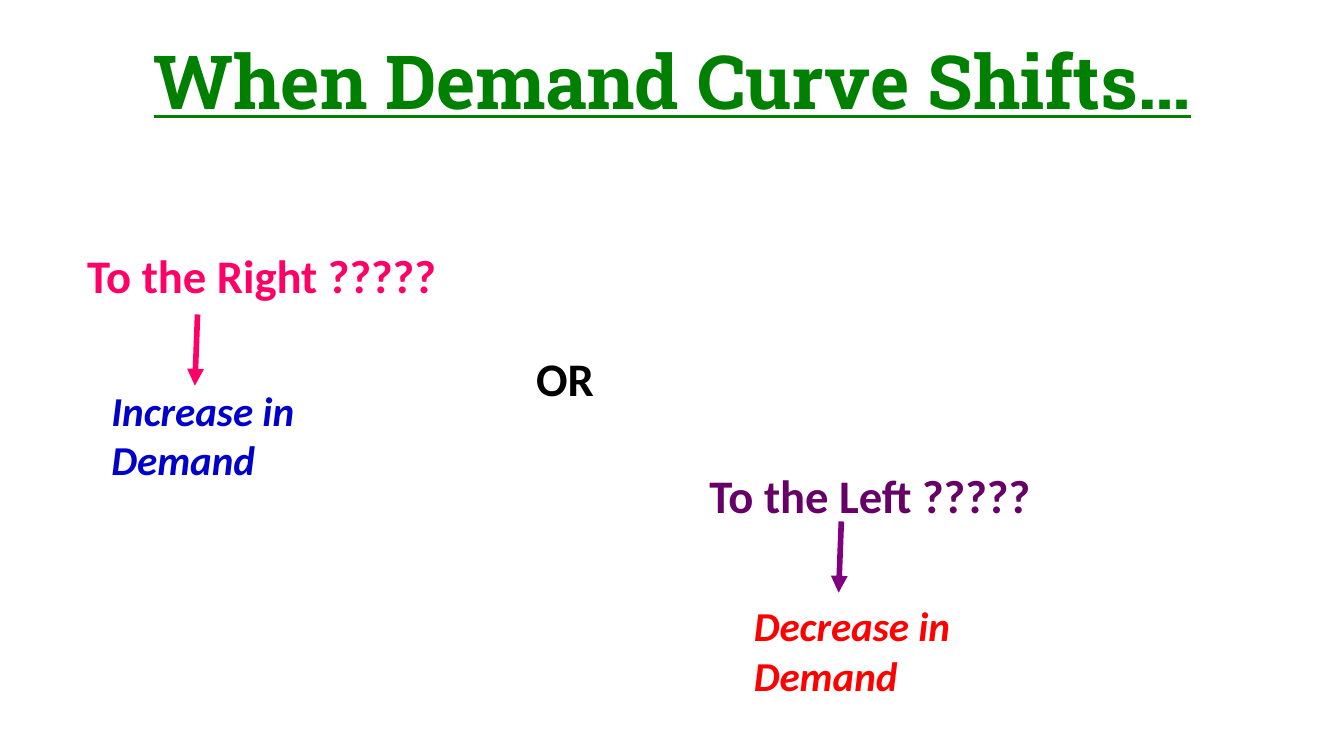
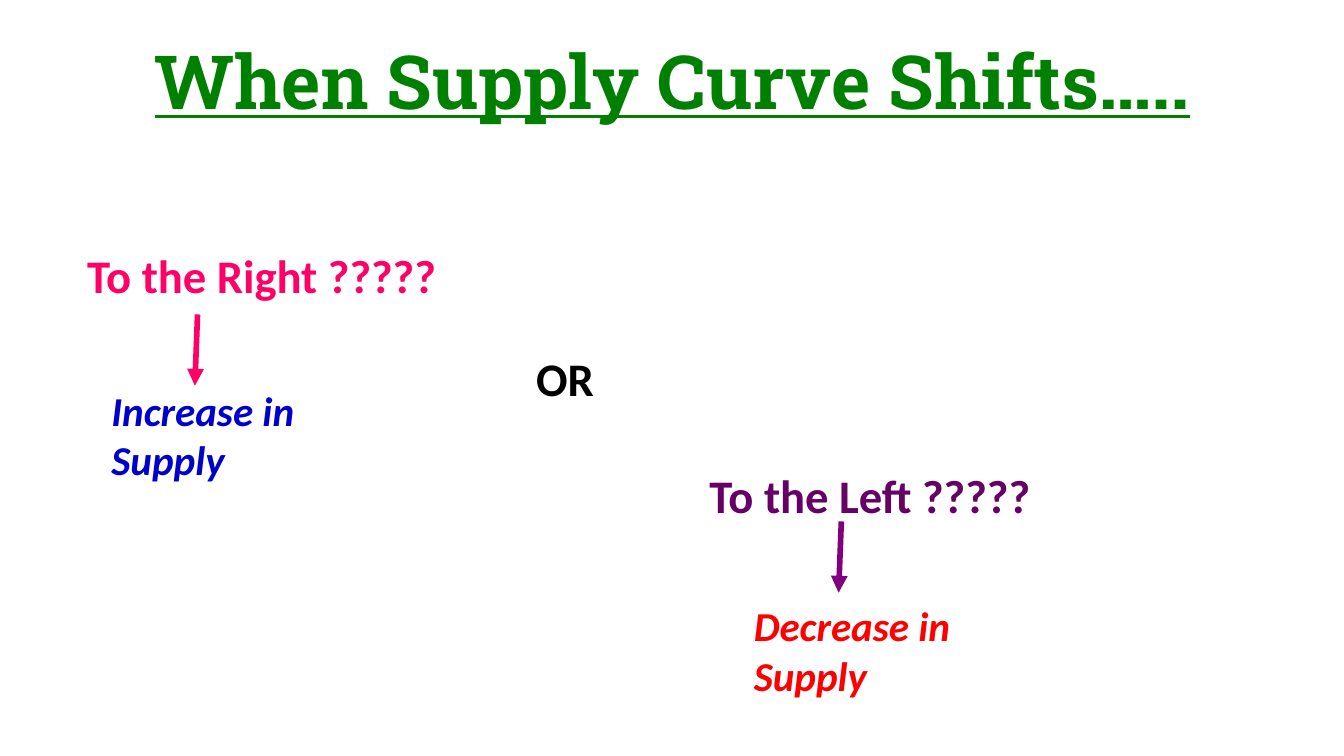
"""Build two slides on what a shift of the demand or supply curve means."""
import lxml.etree
import pptx
import pptx.dml.color
import pptx.enum.shapes
import pptx.enum.text
import pptx.oxml.ns
import pptx.util

Inches = pptx.util.Inches
WIDTH = 10
COLORS = {
    "title": "008000",
    "right": "FF0066",
    "left": "660066",
    "or": "000000",
    "rise": "0000CC",
    "fall": "FF0000",
    "arrow": "800080",
}
HEAD = {"name": "Roboto Slab", "size": 40, "bold": True, "underline": True}
LABEL = {"name": "Calibri", "size": 25, "bold": True}
RESULT = {"name": "Calibri", "size": 22, "bold": True, "italic": True}


def get_rgb(key):
    """Return the colour stored under a key."""
    return pptx.dml.color.RGBColor.from_string(COLORS[key])


def add_text(slide, text, place, style, color, pad=0.1):
    """Add a wrapped text box with one styled paragraph."""
    box = slide.shapes.add_textbox(*map(Inches, place))
    frame = box.text_frame
    frame.text = text
    form = {
        "word_wrap": True,
        "auto_size": pptx.enum.text.MSO_AUTO_SIZE.SHAPE_TO_FIT_TEXT,
        "margin_left": Inches(0.1),
        "margin_right": Inches(0.1),
        "margin_top": Inches(pad),
        "margin_bottom": Inches(pad),
    }
    for name, value in form.items():
        setattr(frame, name, value)
    font = frame.paragraphs[0].runs[0].font
    for name, value in style.items():
        setattr(font, name, pptx.util.Pt(value) if name == "size" else value)
    font.color.rgb = get_rgb(color)
    return frame


def add_title(slide, text):
    """Add the centred, underlined title."""
    frame = add_text(slide, text, (0.17, 0.12, 9.67, 0.94), HEAD, "title", 0.05)
    frame.auto_size = pptx.enum.text.MSO_AUTO_SIZE.NONE
    frame.vertical_anchor = pptx.enum.text.MSO_ANCHOR.MIDDLE
    frame.paragraphs[0].alignment = pptx.enum.text.PP_ALIGN.CENTER


def add_label(slide, text, left, top, color):
    """Add a bold one-line label."""
    add_text(slide, text, (left, top, 3.41, 0.62), LABEL, color)


def add_result(slide, text, left, top, color):
    """Add the italic outcome of a shift."""
    add_text(slide, text, (left, top, 2.38, 0.94), RESULT, color)


def add_arrow(slide, left, top, color):
    """Add a slightly slanted arrow pointing down."""
    ends = (left, top, left - 0.02, top + 0.53)
    kind = pptx.enum.shapes.MSO_CONNECTOR.STRAIGHT
    arrow = slide.shapes.add_connector(kind, *map(Inches, ends))
    arrow.line.width = pptx.util.Pt(3)
    arrow.line.color.rgb = get_rgb(color)
    tag = pptx.oxml.ns.qn
    props = arrow.element.spPr
    lxml.etree.SubElement(props.find(tag("a:ln")), tag("a:tailEnd"), type="triangle")
    lxml.etree.SubElement(props, tag("a:effectLst"))


def add_slide(deck, topic, dots):
    """Add the slide for one curve."""
    slide = deck.slides.add_slide(deck.slide_layouts[6])
    add_title(slide, f"When {topic} Curve Shifts{dots}")
    add_label(slide, "To the Right ?????", 0.55, 1.74, "right")
    add_label(slide, "To the Left ?????", 5.18, 3.37, "left")
    add_label(slide, "OR", 3.89, 2.5, "or")
    add_result(slide, f"Increase in {topic}", 0.73, 2.77, "rise")
    add_result(slide, f"Decrease in {topic}", 5.51, 4.37, "fall")
    add_arrow(slide, 1.47, 2.34, "right")
    add_arrow(slide, 6.26, 3.88, "arrow")


def main():
    """Build and save the deck."""
    deck = pptx.Presentation()
    deck.slide_width = Inches(WIDTH)
    deck.slide_height = Inches(WIDTH * 9 / 16)
    for topic, dots in (("Demand", "…"), ("Supply", "…..")):
        add_slide(deck, topic, dots)
    deck.save("out.pptx")


if __name__ == "__main__":
    main()
